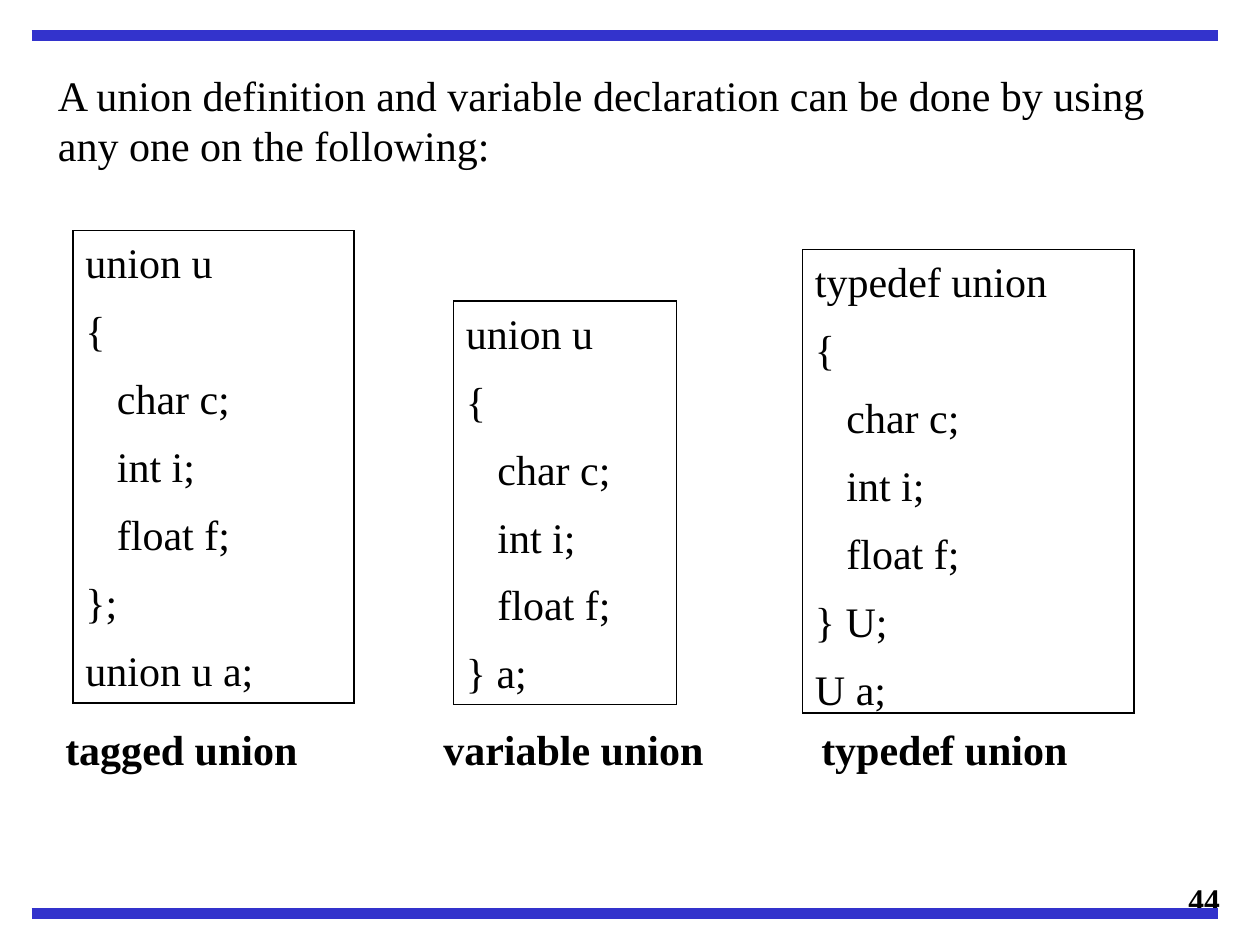
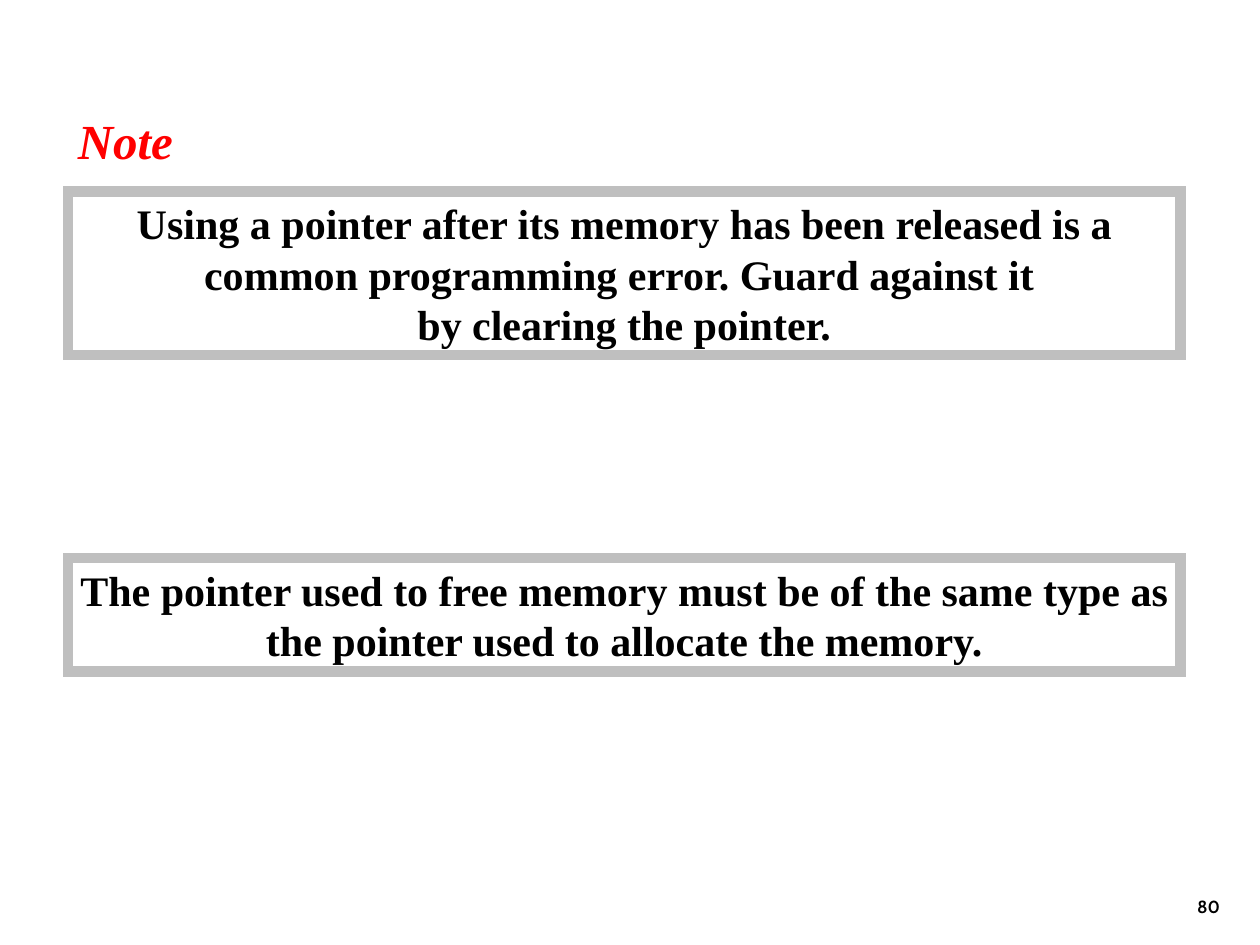
from dataclasses import dataclass
from typing import Optional

from lxml import etree
from pptx import Presentation
from pptx.dml.color import RGBColor
from pptx.enum import shapes as shape_enum, text as text_enum
from pptx.oxml import ns
from pptx.util import Inches, Pt

COLORS = {
    "text": "000000",
    "paper": "FFFFFF",
    "band": "3333CC",
    "note": "FF0000",
    "frame": "BFBFBF",
}
ALIGN = text_enum.PP_ALIGN
TITLE_ONLY = 5
BAND_LEFT, BAND_RIGHT = 0.25, 9.67


@dataclass(frozen=True)
class Box:
    left: float
    top: float
    width: float
    height: float


@dataclass(frozen=True)
class TextStyle:
    size: int = 24
    font: str = "Times New Roman"
    color: str = "text"
    bold: bool = False
    italic: bool = False
    align: ALIGN = ALIGN.LEFT
    space_after: int = 0
    anchor: text_enum.MSO_ANCHOR = text_enum.MSO_ANCHOR.TOP
    side_margin: float = 0.1


INTRO = TextStyle(align=ALIGN.JUSTIFY)
CODE = TextStyle(space_after=10)
CAPTION = TextStyle(bold=True)
NOTE_TITLE = TextStyle(
    size=28, color="note", bold=True, italic=True, align=ALIGN.CENTER, side_margin=0.05,
)
NOTE_BODY = TextStyle(bold=True, align=ALIGN.CENTER, side_margin=0.08)

CODE_HEAD = "{\n   char c;\n   int i;\n   float f;\n"
CODE_BOXES = [
    (Box(0.58, 1.83, 2.23, 3.75), "union u\n" + CODE_HEAD + "};\nunion u a;"),
    (Box(3.6, 2.39, 1.77, 3.2), "union u\n" + CODE_HEAD + "} a;"),
    (Box(6.37, 1.98, 2.63, 3.68), "typedef union\n" + CODE_HEAD + "} U;\nU a;"),
]
NOTES = [
    (
        Box(0.54, 1.52, 8.83, 1.3),
        "Using a pointer after its memory has been released is a common "
        "programming error. Guard against it \nby clearing the pointer.",
    ),
    (
        Box(0.54, 4.43, 8.83, 0.9),
        "The pointer used to free memory must be of the same type as "
        "the pointer used to allocate the memory.",
    ),
]


def rgb(name: str) -> RGBColor:
    return RGBColor.from_string(COLORS[name])


def write(shape, content: str, style: TextStyle) -> None:
    frame = shape.text_frame
    frame.text = content
    frame.auto_size = text_enum.MSO_AUTO_SIZE.NONE
    frame.word_wrap = True
    frame.vertical_anchor = style.anchor
    frame.margin_left = frame.margin_right = Inches(style.side_margin)
    for paragraph in frame.paragraphs:
        paragraph.alignment = style.align
        paragraph.space_before = Pt(0)
        paragraph.space_after = Pt(style.space_after)
        for run in paragraph.runs:
            run.font.name = style.font
            run.font.size = Pt(style.size)
            run.font.bold = style.bold
            run.font.italic = style.italic
            run.font.color.rgb = rgb(style.color)


def inches(box: Box) -> tuple:
    return Inches(box.left), Inches(box.top), Inches(box.width), Inches(box.height)


def add_text(slide, box: Box, content: str, style: TextStyle):
    shape = slide.shapes.add_textbox(*inches(box))
    write(shape, content, style)
    return shape


def add_title(slide, box: Box, content: str, style: TextStyle) -> None:
    title = slide.shapes.title
    title.left, title.top, title.width, title.height = inches(box)
    write(title, content, style)


def add_framed_text(slide, box: Box, content: str, style: TextStyle, line: str, width: float) -> None:
    shape = slide.shapes.add_shape(shape_enum.MSO_SHAPE.RECTANGLE, *inches(box))
    shape.shadow.inherit = False
    shape.fill.solid()
    shape.fill.fore_color.rgb = rgb("paper")
    shape.line.color.rgb = rgb(line)
    shape.line.width = Pt(width)
    outline = shape._element.spPr.find(ns.qn("a:ln"))
    etree.SubElement(outline, ns.qn("a:miter"), lim="800000")
    write(shape, content, style)


def add_rule(slide, left: float, right: float, top: float, color: str, width: float) -> None:
    rule = slide.shapes.add_connector(
        shape_enum.MSO_CONNECTOR.STRAIGHT,
        Inches(left), Inches(top), Inches(right), Inches(top),
    )
    rule.line.color.rgb = rgb(color)
    rule.line.width = Pt(width)
    etree.SubElement(rule._element.spPr, ns.qn("a:effectLst"))


def add_tab_stops(paragraph, *positions: float) -> None:
    properties = paragraph._p.get_or_add_pPr()
    tab_list = etree.SubElement(properties, ns.qn("a:tabLst"))
    for position in positions:
        etree.SubElement(tab_list, ns.qn("a:tab"), pos=str(Inches(position)), algn="l")


def add_slide(presentation, number: int, number_size: int, number_font: Optional[str] = None):
    """Add a slide with its page number in the bottom right corner."""
    slide = presentation.slides.add_slide(presentation.slide_layouts[TITLE_ONLY])
    style = TextStyle(
        size=number_size, font=number_font or TextStyle.font, bold=True,
        align=ALIGN.RIGHT, anchor=text_enum.MSO_ANCHOR.BOTTOM,
    )
    add_text(slide, Box(7.7, 6.83, 2.08, 0.5), str(number), style)
    return slide


def build_union_slide(presentation) -> None:
    slide = add_slide(presentation, 44, 18)
    add_rule(slide, 0.42, 0.42, 0.5, "text", 0.75)
    for top in (7.25, 0.28):
        add_rule(slide, BAND_LEFT, BAND_RIGHT, top, "band", 6)
    for box, code in CODE_BOXES:
        add_framed_text(slide, box, code, CODE, "text", 0.75)
    captions = add_text(
        slide, Box(0.42, 5.69, 9, 0.5),
        "tagged union\t\tvariable union\ttypedef union", CAPTION,
    )
    add_tab_stops(captions.text_frame.paragraphs[0], 2, 3, 6)
    add_title(
        slide, Box(0.36, 0.5, 8.93, 0.9),
        "A union definition and variable declaration can be done by using\n"
        "any one on the following:",
        INTRO,
    )


def build_note_slide(presentation) -> None:
    slide = add_slide(presentation, 80, 10, "Cabin")
    add_title(slide, Box(0.52, 0.83, 0.95, 0.57), "Note", NOTE_TITLE)
    for box, note in NOTES:
        add_framed_text(slide, box, note, NOTE_BODY, "frame", 6)


def main() -> None:
    presentation = Presentation()
    presentation.slide_width, presentation.slide_height = Inches(10), Inches(7.5)
    build_union_slide(presentation)
    build_note_slide(presentation)
    presentation.save("out.pptx")


if __name__ == "__main__":
    main()
